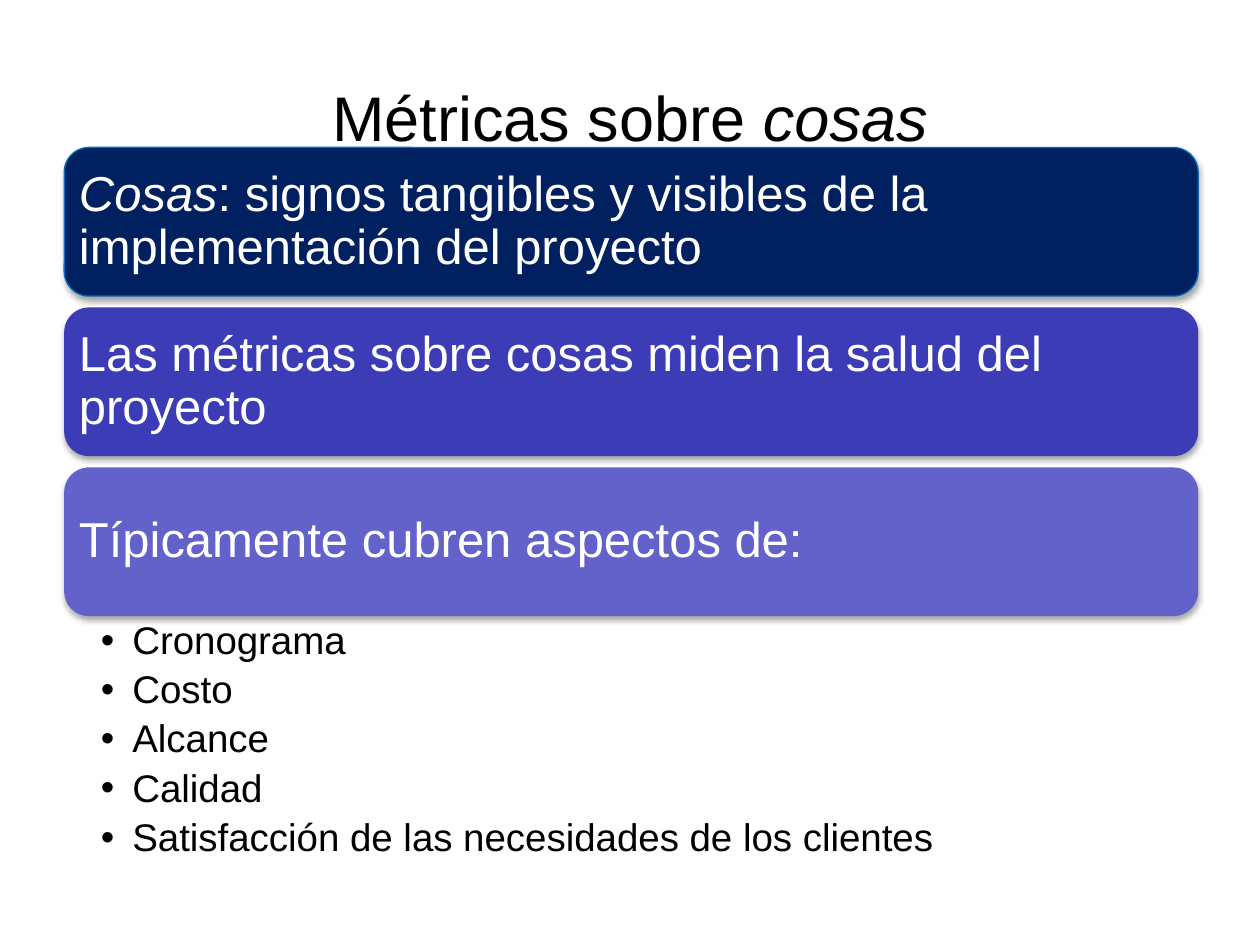
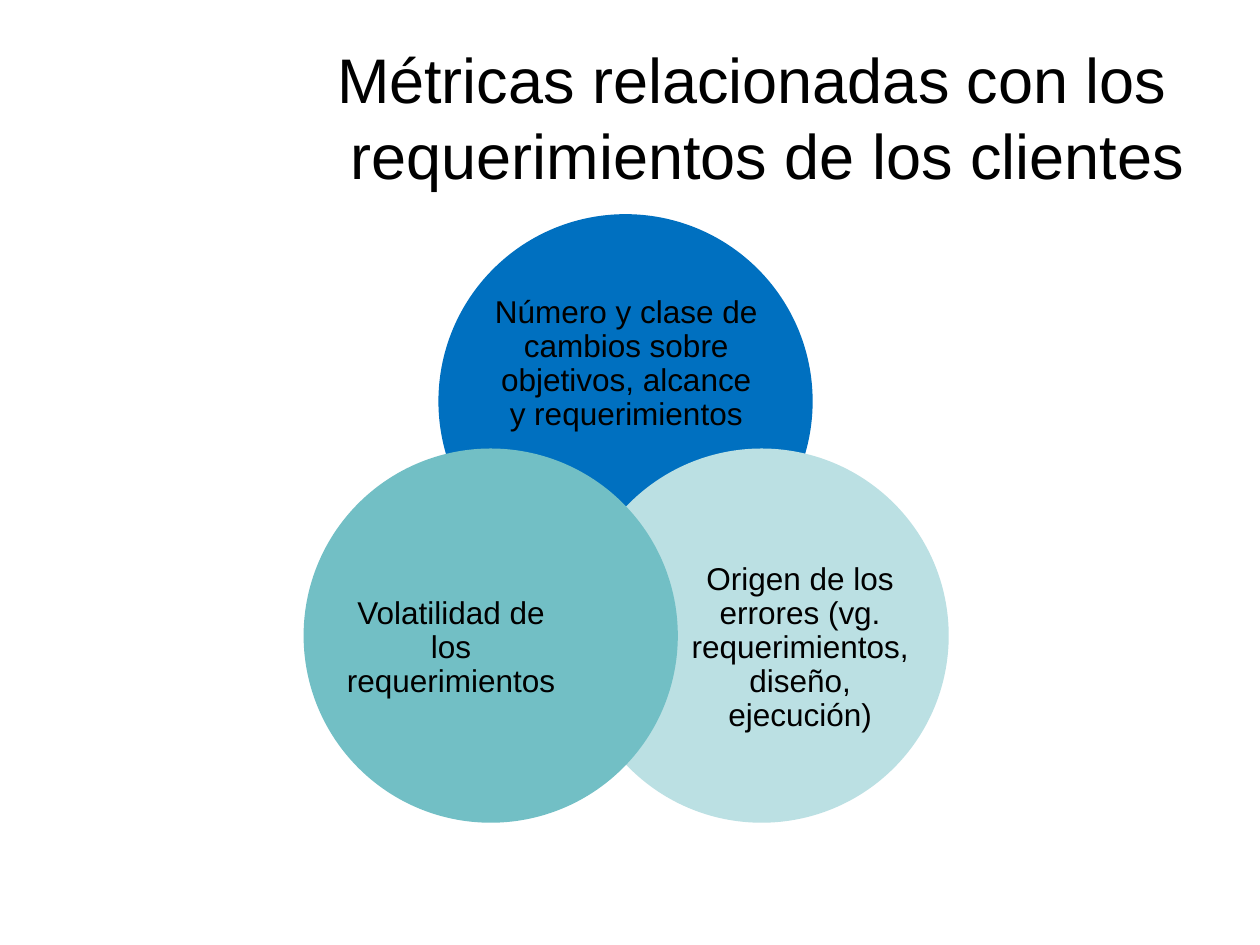
from dataclasses import dataclass

from lxml.etree import SubElement
from pptx import Presentation
from pptx.dml.color import RGBColor
from pptx.enum.shapes import MSO_SHAPE
from pptx.enum.text import MSO_ANCHOR, MSO_AUTO_SIZE, PP_ALIGN
from pptx.oxml.ns import qn
from pptx.util import Inches, Pt


@dataclass(frozen=True)
class Theme:
    font: str = "Arial"
    ink: str = "000000"
    paper: str = "FFFFFF"
    border: str = "0070C0"
    bands: tuple = ("002060", "3C3CB6", "6262CA")
    circles: tuple = ("0070C0", "BBE0E3", "72BFC5")
    title: int = 36
    band: int = 28
    item: int = 22
    label: int = 18


T = Theme()
TITLE_BOX = (0.5, 0.3, 9, 1.25)
TITLE_MARGINS = (0.1, 0.05, 0.1, 0.05)
TIGHT = {"line_spacing": 0.9, "space_before": Pt(0)}


def fill_text(shape, paragraphs, size, color, margins, anchor, **para_format):
    """Write paragraphs, each a list of (text, italic) runs; a newline breaks the line."""
    tf = shape.text_frame
    sides = ("margin_left", "margin_top", "margin_right", "margin_bottom")
    frame_format = {"word_wrap": True, "auto_size": MSO_AUTO_SIZE.NONE,
                    "vertical_anchor": anchor}
    frame_format.update(zip(sides, map(Inches, margins)))
    for name, value in frame_format.items():
        setattr(tf, name, value)
    for i, runs in enumerate(paragraphs):
        p = tf.add_paragraph() if i else tf.paragraphs[0]
        for name, value in para_format.items():
            setattr(p, name, value)
        for text, italic in runs:
            for j, line in enumerate(text.split("\n")):
                if j:
                    p.add_line_break()
                    SubElement(p._p[-1], qn("a:rPr"), sz=str(size * 100))
                r = p.add_run()
                r.text = line
                for name, value in {"name": T.font, "size": Pt(size), "italic": italic}.items():
                    setattr(r.font, name, value)
                r.font.color.rgb = RGBColor.from_string(color)


def place(shape, left, top, width, height):
    box = {"left": left, "top": top, "width": width, "height": height}
    for name, value in box.items():
        setattr(shape, name, Inches(value))


prs = Presentation()
prs.slide_width, prs.slide_height = Inches(10), Inches(7.5)

# Slide 1: three bands and a list
s = prs.slides.add_slide(prs.slide_layouts[1])
place(s.shapes.title, *TITLE_BOX)
fill_text(s.shapes.title, [[("Métricas sobre ", False), ("cosas", True)]], T.title, T.ink,
          TITLE_MARGINS, MSO_ANCHOR.MIDDLE, alignment=PP_ALIGN.CENTER)

bands = [
    [("Cosas", True), (": signos tangibles y visibles de la implementación del proyecto", False)],
    [("Las métricas sobre cosas miden la salud del proyecto", False)],
    [("Típicamente cubren aspectos de:", False)],
]
for i, (runs, color) in enumerate(zip(bands, T.bands)):
    band = s.shapes.add_shape(MSO_SHAPE.ROUNDED_RECTANGLE, Inches(0.51),
                              Inches(1.17 + 1.27 * i), Inches(9), Inches(1.18))
    band.fill.solid()
    band.fill.fore_color.rgb = RGBColor.from_string(color)
    if i == 0:
        band.line.color.rgb = RGBColor.from_string(T.border)
        band.line.width = Pt(0.75)
    else:
        band.line.fill.background()
    band.shadow.inherit = False
    effects = band._element.spPr.find(qn("a:effectLst"))
    shadow = SubElement(effects, qn("a:outerShdw"), blurRad=str(Pt(3.1)), dist=str(Pt(1.8)),
                        dir="5400000", rotWithShape="0")
    shade = SubElement(shadow, qn("a:srgbClr"), val=T.ink)
    SubElement(shade, qn("a:alpha"), val="35000")
    fill_text(band, [runs], T.band, T.paper, (0.06,) * 4, MSO_ANCHOR.MIDDLE,
              alignment=PP_ALIGN.LEFT, **TIGHT)

aspects = ["Cronograma", "Costo", "Alcance", "Calidad",
           "Satisfacción de las necesidades de los clientes"]
body = s.placeholders[1]
place(body, 0.51, 4.89, 9, 1.96)
fill_text(body, [[(aspect, False)] for aspect in aspects], T.item, T.ink,
          (0.29, 0.04, 0.22, 0.04), MSO_ANCHOR.TOP, level=1, space_after=Pt(4.4), **TIGHT)
for p in body.text_frame.paragraphs:
    pPr = p._p.get_or_add_pPr()
    pPr.set("marL", str(Inches(0.25)))
    pPr.set("indent", str(Inches(-0.25)))
    SubElement(pPr, qn("a:buFont"), typeface=T.font)
    SubElement(pPr, qn("a:buChar"), char="•")

# Slide 2: three overlapping circles
s = prs.slides.add_slide(prs.slide_layouts[5])
place(s.shapes.title, *TITLE_BOX)
fill_text(s.shapes.title,
          [[("Métricas relacionadas con los \nrequerimientos de los clientes", False)]],
          T.title, T.ink, TITLE_MARGINS, MSO_ANCHOR.MIDDLE, alignment=PP_ALIGN.RIGHT)

DIAMETER = 2.97
circles = [
    (3.48, 1.7, (3.88, 2.22, 2.18, 1.34),
     "Número y clase de cambios sobre objetivos, alcance y requerimientos"),
    (4.56, 3.56, (5.46, 4.33, 1.78, 1.63),
     "Origen de los errores (vg. requerimientos, diseño, ejecución)"),
    (2.41, 3.56, (2.69, 4.33, 1.78, 1.63), "Volatilidad de los requerimientos"),
]
for (left, top, label_box, text), color in zip(circles, T.circles):
    circle = s.shapes.add_shape(MSO_SHAPE.OVAL, Inches(left), Inches(top),
                                Inches(DIAMETER), Inches(DIAMETER))
    circle.fill.solid()
    circle.fill.fore_color.rgb = RGBColor.from_string(color)
    circle.line.fill.background()
    circle.shadow.inherit = False
    label = s.shapes.add_textbox(*map(Inches, label_box))
    fill_text(label, [[(text, False)]], T.label, T.ink, (0,) * 4, MSO_ANCHOR.MIDDLE,
              alignment=PP_ALIGN.CENTER, space_after=Pt(6.3), **TIGHT)

prs.save("out.pptx")
